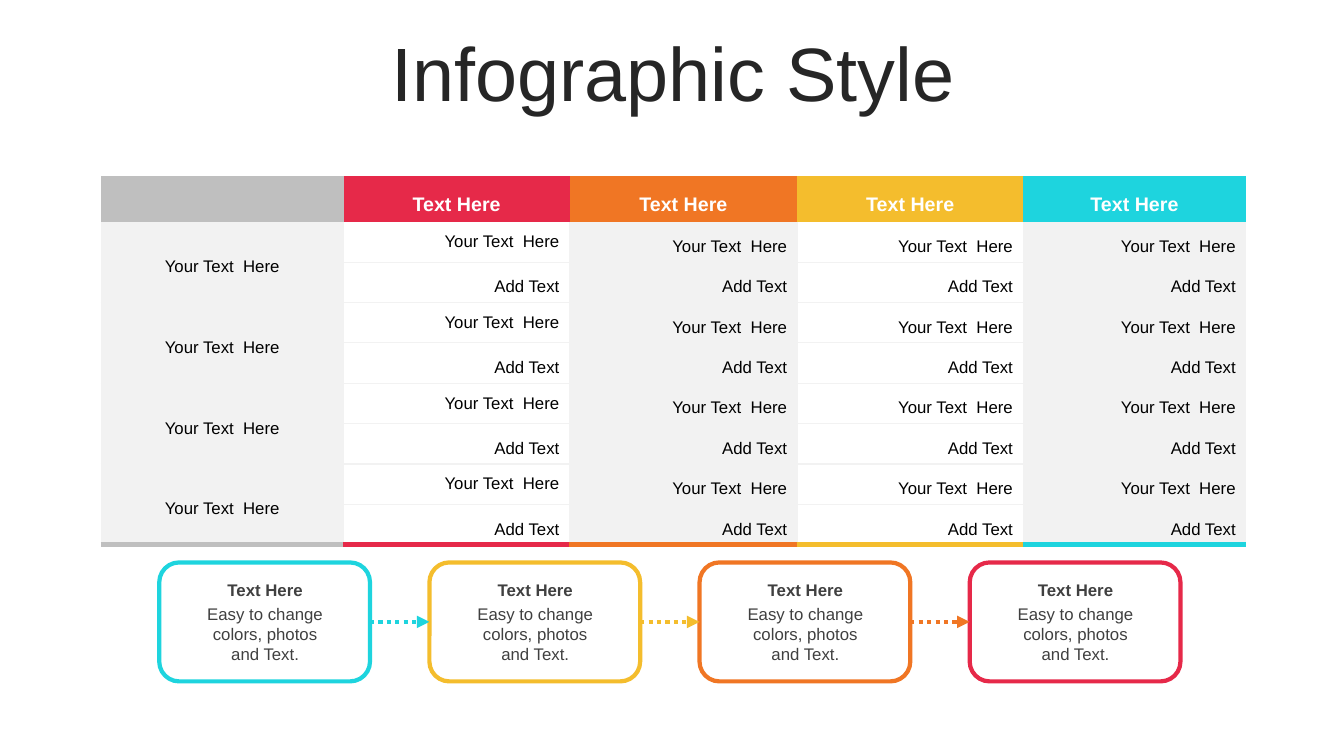
from lxml.etree import SubElement
from pptx import Presentation
from pptx.dml.color import RGBColor
from pptx.enum.dml import MSO_LINE
from pptx.enum.shapes import MSO_CONNECTOR, MSO_SHAPE
from pptx.enum.text import MSO_ANCHOR as Anchor, MSO_AUTO_SIZE as AutoSize, PP_ALIGN as Align
from pptx.oxml.ns import qn
from pptx.util import Inches, Pt

RED, ORANGE, YELLOW, CYAN = "E62949", "F07624", "F4BD2D", "1ED4DE"
GREY, PALE, WHITE = "BFBFBF", "F2F2F2", "FFFFFF"
COLUMN_COLOURS = [GREY, RED, ORANGE, YELLOW, CYAN]


def rgb(value):
    return RGBColor.from_string(value)


def write(tf, text, size=12, colour="000000", bold=False, align=Align.CENTER,
          spacing=1.0, font="Arial"):
    p = tf.paragraphs[0]
    p.alignment, p.line_spacing, p.space_before = align, spacing, Pt(0)
    r = p.add_run()
    r.text = text
    r.font.name, r.font.size, r.font.bold = font, Pt(size), bold
    r.font.color.rgb = rgb(colour)


def set_borders(cell, **sides):
    """Give each side a (colour, points) pair; sides left out get no line."""
    tcPr = cell._tc.get_or_add_tcPr()
    for side in "LRTB":
        colour, points = sides.get(side, (None, 0))
        ln = SubElement(tcPr, qn(f"a:ln{side}"), w=str(int(Pt(points))))
        if colour:
            fill = SubElement(ln, qn("a:solidFill"))
            SubElement(fill, qn("a:srgbClr"), val=colour)
        else:
            SubElement(ln, qn("a:noFill"))


class Deck:
    """Holds the slide; all lengths are percentages of its width and height."""

    def __init__(self):
        self.prs = Presentation()
        self.prs.slide_width, self.prs.slide_height = Inches(13.33), Inches(7.5)
        self.slide = self.prs.slides.add_slide(self.prs.slide_layouts[5])
        self.shapes = self.slide.shapes

    def x(self, share):
        return round(self.prs.slide_width * share / 100)

    def y(self, share):
        return round(self.prs.slide_height * share / 100)

    def box(self, left, top, width, height):
        return self.x(left), self.y(top), self.x(width), self.y(height)

    def title(self, text, *place):
        sp = self.shapes.title
        sp.left, sp.top, sp.width, sp.height = self.box(*place)
        tf = sp.text_frame
        tf.word_wrap, tf.auto_size = True, AutoSize.NONE
        tf.vertical_anchor = Anchor.MIDDLE
        write(tf, text, size=54, colour="262626", spacing=0.9)

    def text(self, text, *place, **fmt):
        tf = self.shapes.add_textbox(*self.box(*place)).text_frame
        tf.word_wrap, tf.auto_size = True, AutoSize.SHAPE_TO_FIT_TEXT
        write(tf, text, colour="404040", **fmt)

    def card(self, left, top, colour):
        sp = self.shapes.add_shape(MSO_SHAPE.ROUNDED_RECTANGLE,
                                   *self.box(left, top, 15.68, 15.73))
        sp.shadow.inherit = False
        sp.fill.solid()
        sp.fill.fore_color.rgb = rgb(WHITE)
        sp.line.color.rgb, sp.line.width = rgb(colour), Pt(3)
        self.text("Easy to change colors, photos and Text.",
                  left + 2.25, top + 4.8, 11.25, 9.47)
        self.text("Text Here", left + 2.25, top + 1.6, 11.25, 4, bold=True)
        return sp

    def arrow(self, start, end, colour):
        line = self.shapes.add_connector(MSO_CONNECTOR.STRAIGHT, 0, 0, 0, 0)
        line.begin_connect(start, 3)
        line.end_connect(end, 1)
        line.line.color.rgb, line.line.width = rgb(colour), Pt(3)
        line.line.dash_style = MSO_LINE.ROUND_DOT
        SubElement(line.line._get_or_add_ln(), qn("a:tailEnd"), type="triangle")
        SubElement(line._element.spPr, qn("a:effectLst"))

    def table(self, left, top, widths, heights):
        frame = self.shapes.add_table(
            len(heights), len(widths),
            *self.box(left, top, sum(widths), sum(heights)))
        table = frame.table
        table.first_row = table.horz_banding = False
        for column, width in zip(table.columns, widths):
            column.width = self.x(width)
        for row, height in zip(table.rows, heights):
            row.height = self.y(height)
        return table

    def cell(self, cell, text, fill, borders, **fmt):
        set_borders(cell, **borders)
        cell.fill.solid()
        cell.fill.fore_color.rgb = rgb(fill)
        cell.vertical_anchor = Anchor.MIDDLE
        if text:
            write(cell.text_frame, text, **fmt)


def body_borders(row, col, last_row, last_col):
    thin = (PALE, 1)
    borders = {"B": (COLUMN_COLOURS[col], 4.5) if row == last_row else thin}
    if row > 1:
        borders["T"] = thin
    if col > 0:
        borders["L"] = thin
    if col < last_col:
        borders["R"] = thin
    return borders


def main():
    deck = Deck()
    deck.title("Infographic Style", 2.62, 4.93, 94.95, 10.53)

    # Cards, then the dotted arrows between them
    card_colours = COLUMN_COLOURS[:0:-1]
    cards = [deck.card(11.85 + 20.1 * i, 74.4, colour)
             for i, colour in enumerate(card_colours)]
    for start, end, colour in zip(cards, cards[1:], card_colours):
        deck.arrow(start, end, colour)

    # Table header
    table = deck.table(7.5, 23.33, [18.08, 16.8, 16.95, 16.8, 16.58],
                       [5.87] + [4.95] * 8)
    for col, colour in enumerate(COLUMN_COLOURS):
        deck.cell(table.cell(0, col), "Text Here" if col else "", colour, {},
                  size=14, colour=WHITE, bold=True, spacing=1.5)

    # Table body: pairs of rows, joined in the first column
    last_row, last_col = 8, 4
    for row in range(1, last_row + 1):
        upper = row % 2 == 1
        if upper:
            table.cell(row, 0).merge(table.cell(row + 1, 0))
        for col in range(last_col + 1):
            label = "Your Text  Here" if upper else "Add Text" if col else ""
            borders = body_borders(row, col, last_row, last_col)
            if col == 0 and row == last_row - 1:
                borders["B"] = (GREY, 4.5)
            deck.cell(table.cell(row, col), label, WHITE if col % 2 else PALE,
                      borders, align=Align.RIGHT if col else Align.CENTER,
                      spacing=1.0 if upper and col == 1 else 1.5)

    deck.prs.save("out.pptx")


if __name__ == "__main__":
    main()
